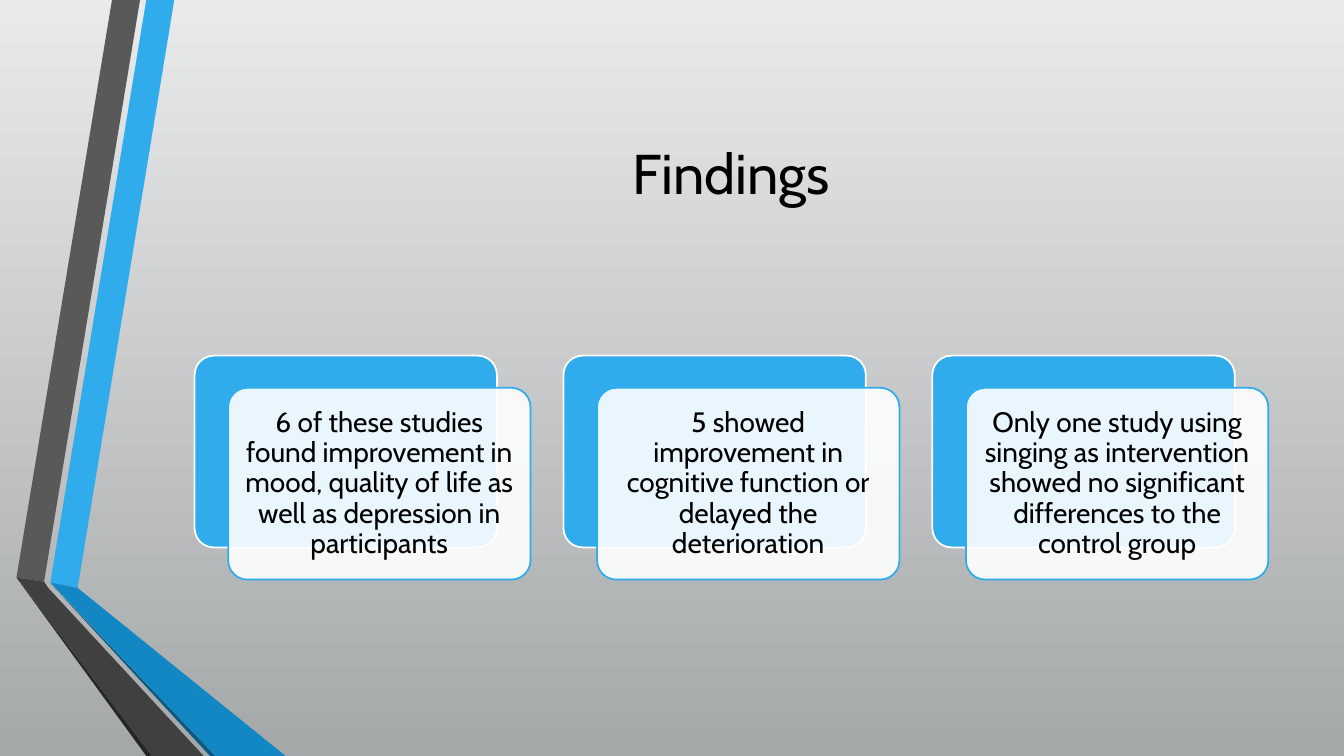
"""Build the Findings slide: a folded ribbon and three layered cards."""
from lxml import etree
from pptx import Presentation
from pptx.dml.color import RGBColor
from pptx.enum import shapes, text
from pptx.oxml.ns import qn
from pptx.util import Pt

BLACK, WHITE = RGBColor(0, 0, 0), RGBColor(255, 255, 255)
BLUE, BLUE_FOLD, BLUE_EDGE = (RGBColor.from_string(c) for c in ("30ACEC", "1287C3", "0C5A82"))
GRAY, GRAY_FOLD, GRAY_EDGE = (RGBColor.from_string(c) for c in ("595959", "404040", "262626"))
BACKDROP = RGBColor(0xE9, 0xEA, 0xEB), RGBColor(0xA5, 0xA8, 0xA9)
FONT = "Cabin"

TITLE = "Findings"
FINDINGS = [
    "6 of these studies found improvement in mood, quality of life as well as depression in participants",
    "5 showed improvement in cognitive function or delayed the deterioration",
    "Only one study using singing as intervention showed no significant differences to the control group",
]
RIBBONS = [
    (BLUE, [(36, 416), (55.5, 420), (124.5, 0), (104.5, 0)]),
    (GRAY, [(100, 0), (80, 0), (11.75, 412.5), (31.5, 415.5)]),
    (GRAY_EDGE, [(11.75, 412.5), (104.5, 540), (108.5, 540)]),
    (BLUE_EDGE, [(36, 416.5), (150, 540), (154, 540)]),
    (BLUE_FOLD, [(36, 416), (154, 540), (204, 540), (55.5, 420)]),
    (GRAY_FOLD, [(145.5, 540), (34.5, 420), (31.5, 415.5), (11.75, 412.5), (108.5, 540)]),
]
LEFT, TOP, WIDTH, HEIGHT = 139, 254, 216, 137
STEP, SHIFT_X, SHIFT_Y = 263.5, 24, 23
INSET = 5.75


def add_ribbon(slide, color, points):
    start, *rest = [(Pt(x), Pt(y)) for x, y in points]
    builder = slide.shapes.build_freeform(*start)
    builder.add_line_segments(rest)
    sp = builder.convert_to_shape()
    sp.shadow.inherit = False
    sp.fill.solid()
    sp.fill.fore_color.rgb = color
    sp.line.fill.background()


def add_card(slide, x, y, fill, line):
    sp = slide.shapes.add_shape(shapes.MSO_SHAPE.ROUNDED_RECTANGLE,
                                Pt(x), Pt(y), Pt(WIDTH), Pt(HEIGHT))
    sp.adjustments[0] = 0.1
    sp.shadow.inherit = False
    sp.fill.solid()
    sp.fill.fore_color.rgb = fill
    sp.line.color.rgb = line
    sp.line.width = Pt(1.25)
    return sp


def set_text(sp, words, size):
    tf = sp.text_frame
    tf.text = words
    tf.word_wrap = True
    tf.vertical_anchor = text.MSO_ANCHOR.MIDDLE
    p = tf.paragraphs[0]
    p.alignment = text.PP_ALIGN.CENTER
    p.font.name, p.font.size = FONT, Pt(size)
    p.font.color.rgb = BLACK
    return tf


def add_finding(slide, x, words):
    add_card(slide, x, TOP, BLUE, WHITE)
    sp = add_card(slide, x + SHIFT_X, TOP + SHIFT_Y, WHITE, BLUE)
    color = sp.fill._xPr.find(qn("a:solidFill"))[0]
    etree.SubElement(color, qn("a:alpha"), val="90000")
    tf = set_text(sp, words, 20)
    tf.margin_left = tf.margin_right = tf.margin_top = tf.margin_bottom = Pt(INSET)
    tf.paragraphs[0].line_spacing = 0.9


prs = Presentation()
prs.slide_width, prs.slide_height = Pt(960), Pt(540)
slide = prs.slides.add_slide(prs.slide_layouts[5])

backdrop = slide.background.fill
backdrop.gradient()
backdrop.gradient_angle = 270
for stop, color in zip(backdrop.gradient_stops, BACKDROP):
    stop.color.rgb = color

for color, points in RIBBONS:
    add_ribbon(slide, color, points)

title = slide.shapes.title
title.left, title.top, title.width, title.height = Pt(LEFT), Pt(54), Pt(767), Pt(138)
set_text(title, TITLE, 40)

for i, words in enumerate(FINDINGS):
    add_finding(slide, LEFT + i * STEP, words)

prs.save("out.pptx")
